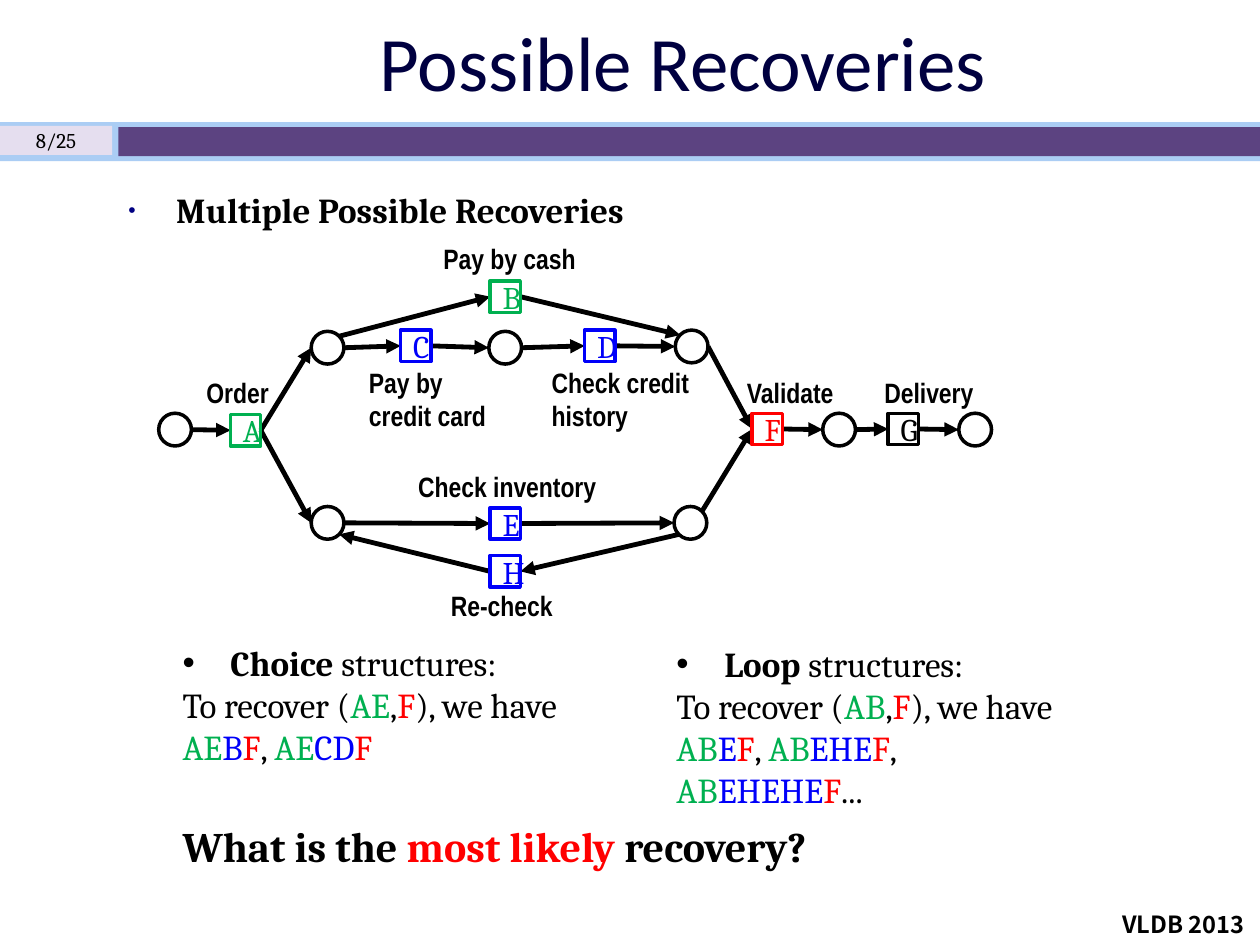
from pptx import Presentation
from pptx.dml.color import RGBColor
from pptx.enum.shapes import MSO_CONNECTOR as CONN, MSO_SHAPE as SHAPE
from pptx.enum.text import MSO_ANCHOR as ANCHOR, PP_ALIGN as ALIGN
from pptx.oxml.ns import qn
from pptx.util import Inches, Pt
from lxml.etree import SubElement

BLACK, GREEN, BLUE, RED, NAVY = "000000", "00B050", "0000F9", "FF0000", "000040"
CIRCLE, BOX_W, BOX_H = 0.26, 0.24, 0.25

BANDS = [
    (0, 0.97, 10, 0.31, "ABCDF4"),
    (0, 1, 0.89, 0.23, "E5DEEF"),
    (0.94, 1.01, 9.06, 0.23, "5C4381"),
]

PLACES = {
    "start": (1.26, 3.28), "choice": (2.47, 2.63), "card": (3.88, 2.63),
    "paid": (5.36, 2.62), "stock": (2.47, 4.02), "checked": (5.35, 4.02),
    "valid": (6.53, 3.28), "end": (7.61, 3.28),
}

TASKS = {
    "A": (1.83, 3.29, GREEN), "B": (3.89, 2.23, GREEN), "C": (3.18, 2.62, BLUE),
    "D": (4.64, 2.62, BLUE), "E": (3.89, 4.03, BLUE), "H": (3.89, 4.41, BLUE),
    "F": (5.97, 3.28, RED), "G": (7.05, 3.28, BLACK),
}

ARROWS = [
    ("start", "r", "A", "l"), ("A", "r", "choice", "l"), ("A", "r", "stock", "l"),
    ("choice", "tr", "B", "l"), ("choice", "r", "C", "l"), ("B", "r", "paid", "tl"),
    ("C", "r", "card", "l"), ("card", "r", "D", "l"), ("D", "r", "paid", "l"),
    ("paid", "r", "F", "l"), ("checked", "tr", "F", "l"),
    ("stock", "r", "E", "l"), ("E", "r", "checked", "l"),
    ("checked", "bl", "H", "r"), ("H", "l", "stock", "br"),
    ("F", "r", "valid", "l"), ("valid", "r", "G", "l"), ("G", "r", "end", "l"),
]

LABELS = [
    ("Order", 1.54, 2.93, 0.7, 0.37),
    ("Pay by credit card", 2.83, 2.85, 1.22, 0.64),
    ("Check credit history", 4.28, 2.85, 1.36, 0.64),
    ("Check inventory", 3.22, 3.68, 1.71, 0.37),
    ("Pay by cash", 3.42, 1.87, 1.38, 0.37),
    ("Re-check", 3.48, 4.62, 1.06, 0.37),
    ("Validate", 5.83, 2.93, 0.89, 0.37),
    ("Delivery", 6.92, 2.93, 0.92, 0.37),
]
ONE_LINE = {"Order", "Validate", "Delivery"}

STRUCTURES = [
    ("Loop", 5.27, 5.05, 1.45, [
        ("To recover (",), ("AB", GREEN), (",",), ("F", RED), ("), we have ",),
        ("AB", GREEN), ("E", BLUE), ("F", RED), (", ",),
        ("AB", GREEN), ("EHE", BLUE), ("F", RED), (", ",),
        ("AB", GREEN), ("EHEHE", BLUE), ("F", RED), ("...",)]),
    ("Choice", 1.35, 5.04, 1.11, [
        ("To recover (",), ("AE", GREEN), (",",), ("F", RED), ("), we have ",),
        ("AE", GREEN), ("B", BLUE), ("F", RED), (", ",),
        ("AE", GREEN), ("CD", BLUE), ("F", RED)]),
]


def rgb(color):
    return RGBColor.from_string(color)


def write(p, runs, size=20, font="Cambria", color=BLACK, bold=False, align=None):
    p.alignment = align
    for text, *own in [(runs,)] if isinstance(runs, str) else runs:
        r = p.add_run()
        r.text = text
        r.font.size, r.font.name = Pt(size), font
        r.font.bold = own[1] if len(own) > 1 else bold
        r.font.color.rgb = rgb(own[0] if own else color)


def text_box(s, x, y, w, h, runs, wrap=True, anchor=ANCHOR.TOP, **fmt):
    tf = s.shapes.add_textbox(Inches(x), Inches(y), Inches(w), Inches(h)).text_frame
    tf.word_wrap, tf.vertical_anchor = wrap, anchor
    write(tf.paragraphs[0], runs, **fmt)
    return tf


def bullet(p, color=BLACK, percent=100):
    pPr = p._p.get_or_add_pPr()
    indent = Inches(0.38)
    pPr.set("marL", str(indent))
    pPr.set("indent", str(-indent))
    SubElement(SubElement(pPr, qn("a:buClr")), qn("a:srgbClr"), val=color)
    SubElement(pPr, qn("a:buSzPct"), val=str(percent * 1000))
    SubElement(pPr, qn("a:buFont"), typeface="Arial")
    SubElement(pPr, qn("a:buChar"), char="•")


def shape(s, kind, x, y, w, h, fill=None, line=None):
    sp = s.shapes.add_shape(kind, Inches(x), Inches(y), Inches(w), Inches(h))
    sp.shadow.inherit = False
    if fill:
        sp.fill.solid()
        sp.fill.fore_color.rgb = rgb(fill)
    else:
        sp.fill.background()
    if line:
        sp.line.color.rgb = rgb(line)
        sp.line.width = Pt(2)
    else:
        sp.line.fill.background()
    return sp


def port(node, side):
    if node in TASKS:
        x, y, _ = TASKS[node]
        w, h = BOX_W, BOX_H
    else:
        x, y = PLACES[node]
        w = h = CIRCLE
    reach = 0.35 if len(side) == 2 else 0.5
    dx = reach if "r" in side else -reach
    dy = reach * (("b" in side) - ("t" in side))
    return Inches(x + w * (0.5 + dx)), Inches(y + h * (0.5 + dy))


def arrow(s, source, out_side, target, in_side):
    cx = s.shapes.add_connector(CONN.STRAIGHT, *port(source, out_side), *port(target, in_side))
    cx.line.color.rgb = rgb(BLACK)
    cx.line.width = Pt(2.75)
    SubElement(cx.line._get_or_add_ln(), qn("a:tailEnd"), type="triangle")
    SubElement(cx._element.spPr, qn("a:effectLst"))


def main():
    prs = Presentation()
    prs.slide_width, prs.slide_height = Inches(10), Inches(7.5)
    s = prs.slides.add_slide(prs.slide_layouts[6])

    for x, y, w, h, fill in BANDS:
        shape(s, SHAPE.RECTANGLE, x, y, w, h, fill=fill)
    text_box(s, 0.92, 0.03, 9, 0.9, "Possible Recoveries", anchor=ANCHOR.MIDDLE,
             size=44, font="Calibri", color=NAVY, align=ALIGN.CENTER)
    text_box(s, 0, 0.96, 0.89, 0.31, "8/25", anchor=ANCHOR.MIDDLE,
             size=12, align=ALIGN.CENTER)
    tf = text_box(s, 0.92, 1.45, 8.51, 5.72, "Multiple Possible Recoveries", bold=True)
    bullet(tf.paragraphs[0], "000082", 60)

    for name, x, y, h, runs in STRUCTURES:
        tf = text_box(s, x, y, 3.31, h, [(name, BLACK, True), (" structures:",)])
        bullet(tf.paragraphs[0])
        write(tf.add_paragraph(), runs)
    text_box(s, 1.35, 6.46, 5.72, 0.5,
             [("What is the ",), ("most likely ", RED), ("recovery?",)], size=24, bold=True)
    text_box(s, 8.81, 7.17, 1.25, 0.33, "VLDB 2013", wrap=False,
             size=13.5, font="Noto Sans CJK SC", bold=True)

    for x, y in PLACES.values():
        shape(s, SHAPE.OVAL, x, y, CIRCLE, CIRCLE, line=BLACK)
    for ends in ARROWS:
        arrow(s, *ends)
    for letter, (x, y, color) in TASKS.items():
        tf = shape(s, SHAPE.RECTANGLE, x, y, BOX_W, BOX_H, line=color).text_frame
        tf.vertical_anchor = ANCHOR.MIDDLE
        write(tf.paragraphs[0], letter, size=18, color=color, align=ALIGN.CENTER)
    for text, x, y, w, h in LABELS:
        text_box(s, x, y, w, h, text, wrap=text not in ONE_LINE,
                 size=16, font="Arial Narrow", bold=True)

    prs.save("out.pptx")


if __name__ == "__main__":
    main()
